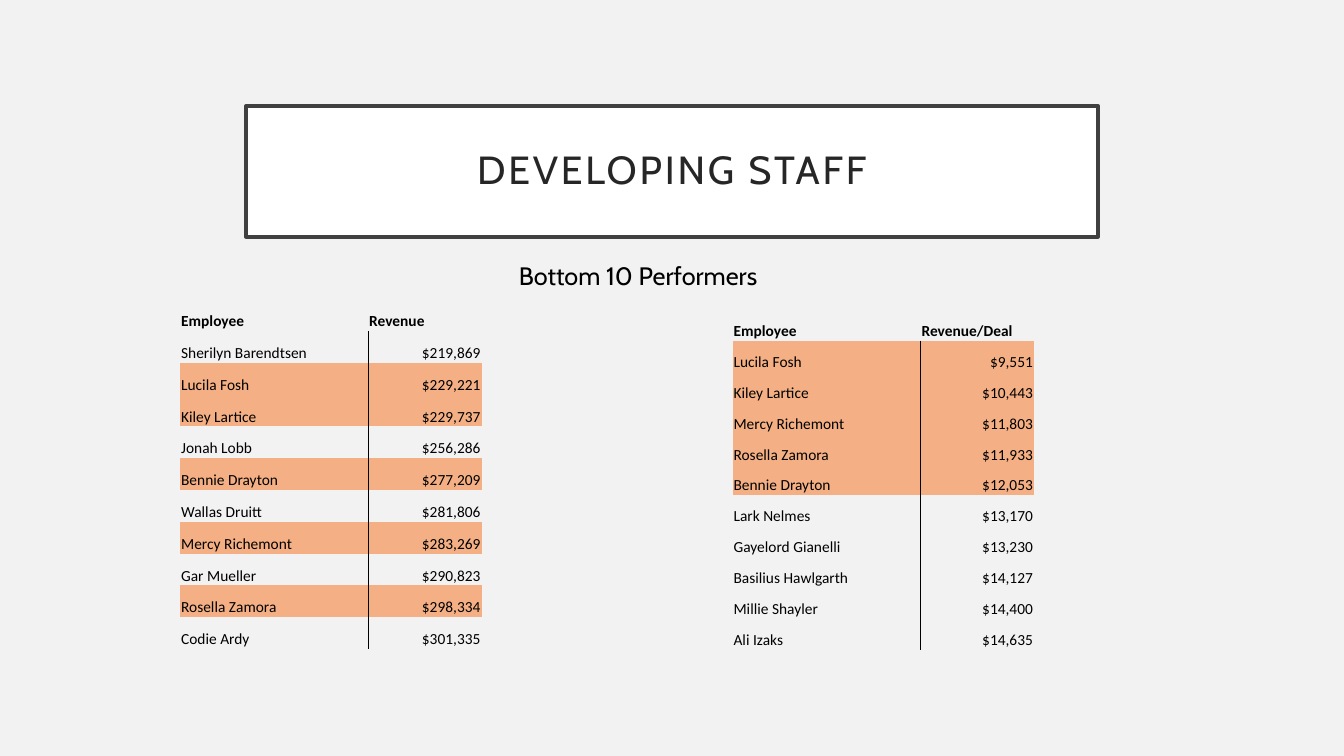
from dataclasses import dataclass

from lxml.etree import SubElement as Sub
from pptx import Presentation
from pptx.dml.color import RGBColor as Rgb
from pptx.enum.shapes import MSO_SHAPE as Shape
from pptx.enum.text import MSO_ANCHOR as Anchor, PP_ALIGN as Align
from pptx.oxml import parse_xml
from pptx.oxml.ns import nsdecls, qn
from pptx.util import Pt


@dataclass(frozen=True)
class Theme:
    """Colours, fonts and type sizes of the slide."""
    back: str = "F2F2F2"
    panel: str = "FFFFFF"
    frame: str = "404040"
    title: str = "262626"
    ink: str = "000000"
    mark: str = "F4B084"
    head: str = "Cabin"
    body: str = "Calibri"
    big: float = 28
    mid: float = 18
    small: float = 11


THEME = Theme()
PLAIN = "{2D5ABB26-0587-4C30-8999-92F81FD0307C}"  # no style, no grid

REVENUE = [
    ("Sherilyn Barendtsen", 219869), ("Lucila Fosh", 229221),
    ("Kiley Lartice", 229737), ("Jonah Lobb", 256286),
    ("Bennie Drayton", 277209), ("Wallas Druitt", 281806),
    ("Mercy Richemont", 283269), ("Gar Mueller", 290823),
    ("Rosella Zamora", 298334), ("Codie Ardy", 301335),
]
DEALS = [
    ("Lucila Fosh", 9551), ("Kiley Lartice", 10443),
    ("Mercy Richemont", 11803), ("Rosella Zamora", 11933),
    ("Bennie Drayton", 12053), ("Lark Nelmes", 13170),
    ("Gayelord Gianelli", 13230), ("Basilius Hawlgarth", 14127),
    ("Millie Shayler", 14400), ("Ali Izaks", 14635),
]


def write(frame, text, size, font=THEME.head, color=THEME.ink, bold=False,
          align=Align.CENTER, lead=None, track=None):
    """Put one formatted paragraph in a text frame."""
    para = frame.paragraphs[0]
    para.alignment = align
    if lead:
        para.line_spacing = lead
    run = para.add_run()
    run.text = text
    run.font.size, run.font.name, run.font.bold = Pt(size), font, bold
    run.font.color.rgb = Rgb.from_string(color)
    if track:
        run.font._element.set("spc", str(track * 100))


def banner(slide, box, text):
    """Draw the framed title panel."""
    panel = slide.shapes.add_shape(Shape.RECTANGLE, *map(Pt, box))
    panel.shadow.inherit = False
    panel.fill.solid()
    panel.fill.fore_color.rgb = Rgb.from_string(THEME.panel)
    panel.line.color.rgb = Rgb.from_string(THEME.frame)
    panel.line.width = Pt(2.5)
    frame = panel.text_frame
    frame.word_wrap = True
    frame.vertical_anchor = Anchor.MIDDLE
    frame.margin_left = frame.margin_right = Pt(14.4)
    frame.margin_top = frame.margin_bottom = Pt(14.4)
    write(frame, text, THEME.big, color=THEME.title, lead=0.9, track=2)


def label(slide, box, text):
    """Add the centred line above the tables."""
    frame = slide.shapes.add_textbox(*map(Pt, box)).text_frame
    frame.word_wrap = True
    write(frame, text, THEME.mid)


def edge(cell, side):
    """Rule one side of a cell with a thin line."""
    line = parse_xml(f'<a:{side} {nsdecls("a")} w="{Pt(0.5)}"/>')
    fill = Sub(line, qn("a:solidFill"))
    Sub(fill, qn("a:srgbClr"), val=THEME.ink)
    cell._tc.get_or_add_tcPr().insert(0, line)


def ranking(slide, box, heads, staff, marked, top):
    """Build a table of staff, with a head row of height top."""
    left, up, wide, high = box
    count = len(staff)
    item = slide.shapes.add_table(count + 1, 2, *map(Pt, box))
    item.element.find(".//" + qn("a:tableStyleId")).text = PLAIN
    table = item.table
    table.first_row = table.horz_banding = False
    name = 134.3
    table.columns[0].width, table.columns[1].width = Pt(name), Pt(wide - name)
    rows = [heads] + [(who, f"${sum_:,}") for who, sum_ in staff]
    for i, row in enumerate(rows):
        table.rows[i].height = Pt((high - top) / count if i else top)
        for j, text in enumerate(row):
            cell = table.cell(i, j)
            cell.vertical_anchor = Anchor.BOTTOM
            cell.margin_left = cell.margin_right = cell.margin_top = Pt(0.7)
            cell.margin_bottom = 0
            if row[0] in marked:
                cell.fill.solid()
                cell.fill.fore_color.rgb = Rgb.from_string(THEME.mark)
            else:
                cell.fill.background()
            if i:
                edge(cell, "lnL" if j else "lnR")
            write(cell.text_frame, text, THEME.small, THEME.body, bold=not i,
                  align=Align.RIGHT if i and j else Align.LEFT)


def build():
    """Make the slide and save it."""
    deck = Presentation()
    deck.slide_width, deck.slide_height = Pt(960), Pt(540)
    slide = deck.slides.add_slide(deck.slide_layouts[6])
    fill = slide.background.fill
    fill.solid()
    fill.fore_color.rgb = Rgb.from_string(THEME.back)

    banner(slide, (175.7, 75.6, 608.6, 93.6), "DEVELOPING STAFF")
    both = set(dict(REVENUE)) & set(dict(DEALS))
    ranking(slide, (128.7, 213.8, 215.3, 249.8), ("Employee", "Revenue"),
            REVENUE, both, 22.7)
    ranking(slide, (523.3, 203, 215.3, 261.3), ("Employee", "Revenue/Deal"),
            DEALS, both, 40.3)
    label(slide, (286.6, 182.2, 338.4, 29), "Bottom 10 Performers")
    deck.save("out.pptx")


build()
